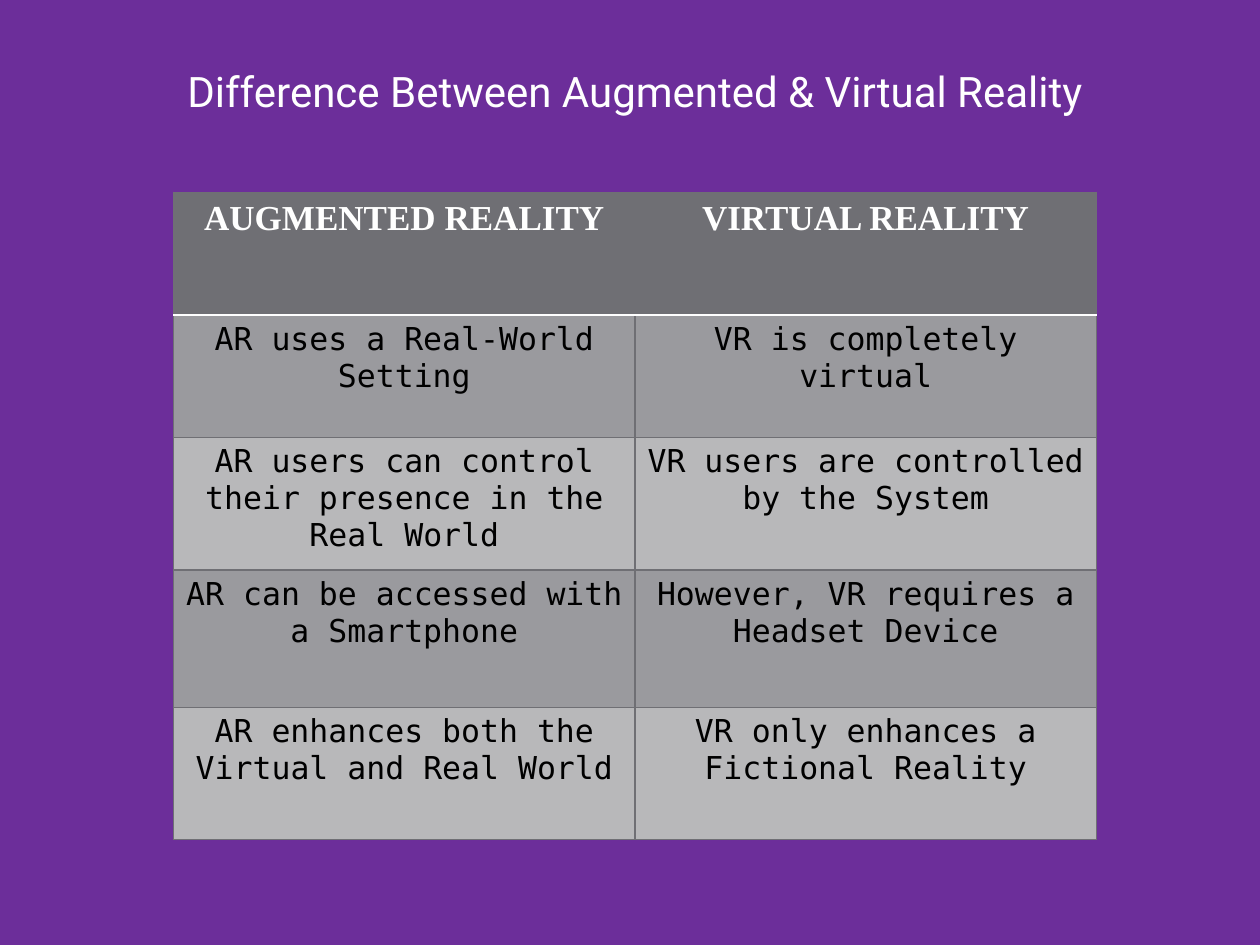
from lxml import etree
from pptx import Presentation
from pptx.dml.color import RGBColor
from pptx.enum.text import MSO_AUTO_SIZE, PP_ALIGN
from pptx.oxml.ns import qn
from pptx.util import Cm, Pt

CENTER = PP_ALIGN.CENTER
GROW = MSO_AUTO_SIZE.SHAPE_TO_FIT_TEXT

PURPLE = "6C2E9A"
WHITE = "FFFFFF"
BLACK = "000000"
GRAY = "6F6F74"
MID_GRAY = "9A9A9E"
LIGHT_GRAY = "B8B8BA"


def color(hex_value):
    return RGBColor.from_string(hex_value)


def write(frame, text, font, size, ink, bold=False):
    paragraph = frame.paragraphs[0]
    paragraph.alignment = CENTER
    run = paragraph.add_run()
    run.text = text
    run.font.name = font
    run.font.size = Pt(size)
    run.font.bold = bold
    run.font.color.rgb = color(ink)


def draw_border(cell, side, ink, width):
    properties = cell._tc.get_or_add_tcPr()
    line = etree.SubElement(properties, qn(f"a:ln{side}"), w=str(Pt(width)))
    fill = etree.SubElement(line, qn("a:solidFill"))
    etree.SubElement(fill, qn("a:srgbClr"), val=ink)


class ComparisonSlide:
    title_style = dict(font="Roboto", size=24, ink=WHITE)
    header_style = dict(font="Times New Roman", size=20, ink=WHITE, bold=True)
    body_style = dict(font="DejaVu Sans Mono", size=18, ink=BLACK)

    def __init__(self, presentation, background):
        self.slide = presentation.slides.add_slide(presentation.slide_layouts[6])
        self.slide.background.fill.solid()
        self.slide.background.fill.fore_color.rgb = color(background)

    def title(self, text, left, top, width, height):
        box = self.slide.shapes.add_textbox(Cm(left), Cm(top), Cm(width), Cm(height))
        box.text_frame.word_wrap = True
        box.text_frame.auto_size = GROW
        write(box.text_frame, text, **self.title_style)

    def table(self, rows, left, top, column_width, heights):
        columns = len(rows[0])
        table = self.slide.shapes.add_table(
            len(rows), columns, Cm(left), Cm(top),
            Cm(column_width * columns), Cm(sum(heights))).table
        for column in table.columns:
            column.width = Cm(column_width)
        for index, (texts, height) in enumerate(zip(rows, heights)):
            table.rows[index].height = Cm(height)
            for position, text in enumerate(texts):
                self.cell(table.cell(index, position), text, index)

    def cell(self, cell, text, row):
        header_edge = {0: "B", 1: "T"}.get(row)
        for side in "LRTB":
            ink, width = (WHITE, 1.5) if side == header_edge else (GRAY, 0.75)
            draw_border(cell, side, ink, width)
        cell.fill.solid()
        band = MID_GRAY if row % 2 else LIGHT_GRAY
        cell.fill.fore_color.rgb = color(band if row else GRAY)
        write(cell.text_frame, text, **(self.body_style if row else self.header_style))


COMPARISON = [
    ("AUGMENTED REALITY", "VIRTUAL REALITY"),
    ("AR uses a Real-World Setting", "VR is completely virtual"),
    ("AR users can control their presence in the Real World",
     "VR users are controlled by the System"),
    ("AR can be accessed with a Smartphone", "However, VR requires a Headset Device"),
    ("AR enhances both the Virtual and Real World",
     "VR only enhances a Fictional Reality"),
]

presentation = Presentation()
presentation.slide_width = Cm(25.4)
presentation.slide_height = Cm(19.05)

comparison = ComparisonSlide(presentation, PURPLE)
comparison.title("Difference Between Augmented & Virtual Reality", 2.9, 1.2, 19.8, 1.28)
comparison.table(COMPARISON, left=3.5, top=3.88, column_width=9.3,
                 heights=[2.47, 2.47, 2.67, 2.77, 2.67])

presentation.save("out.pptx")
